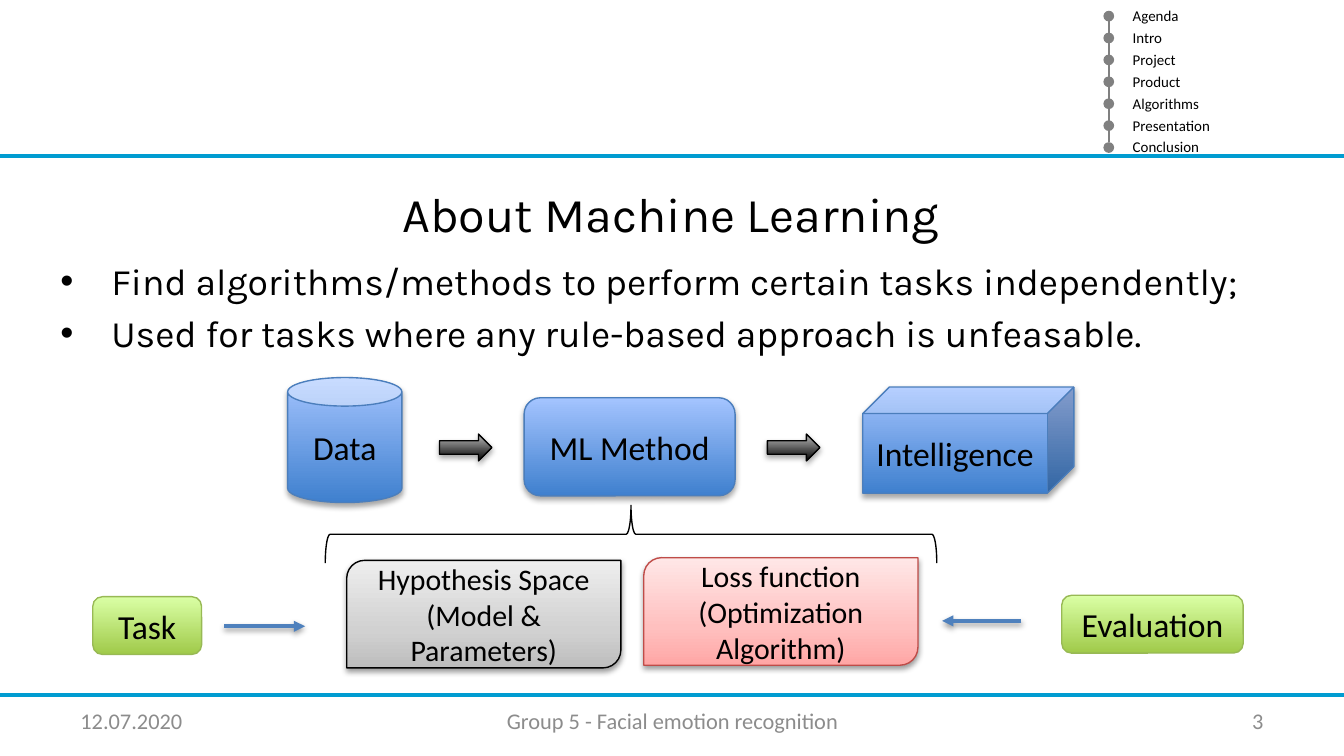
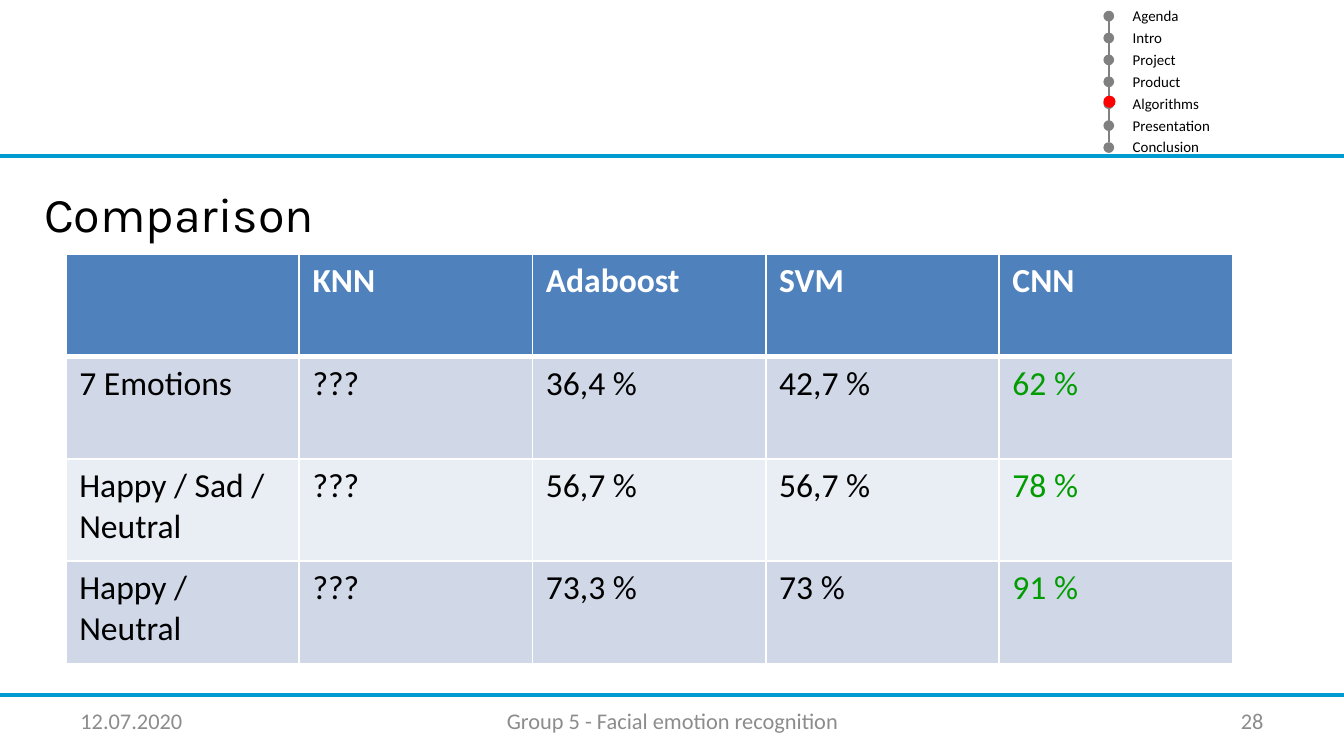
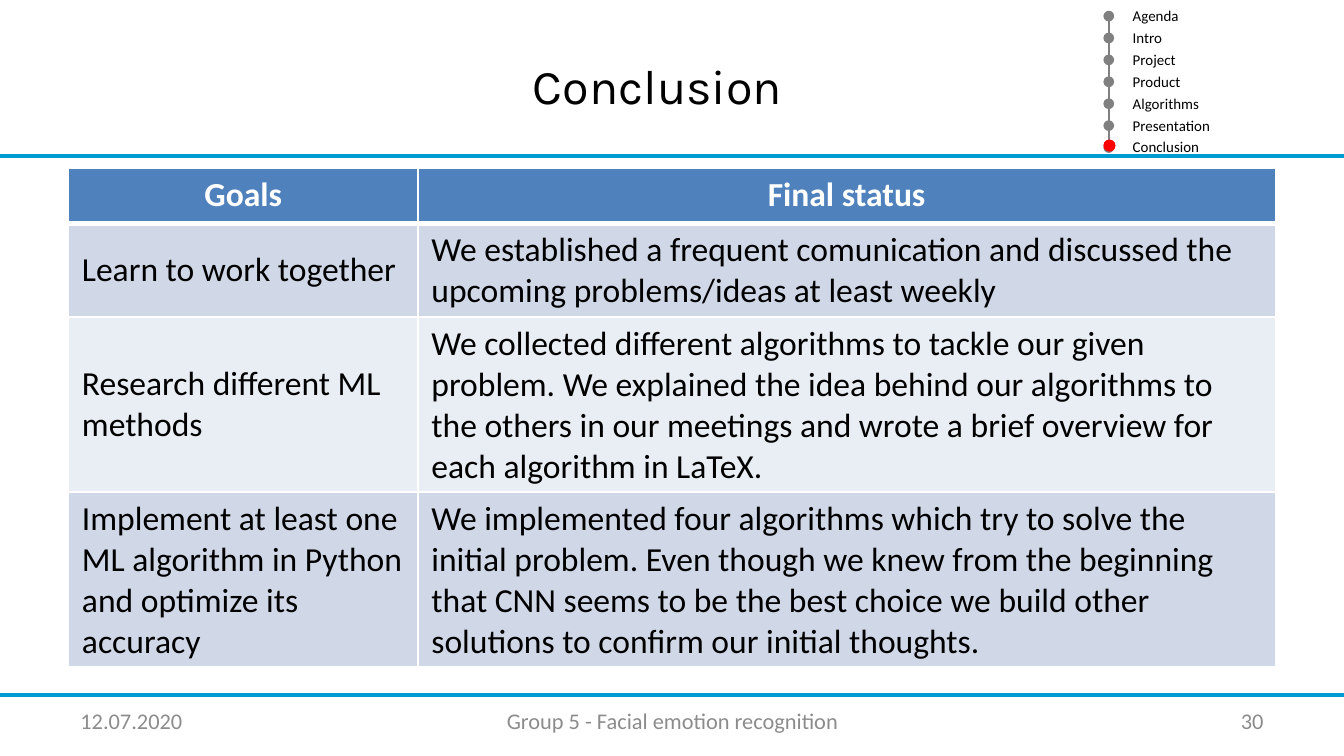
from lxml import etree
from pptx import Presentation
from pptx.dml.color import RGBColor
from pptx.enum.shapes import MSO_CONNECTOR, MSO_SHAPE
from pptx.enum.text import MSO_ANCHOR, MSO_AUTO_SIZE, PP_ALIGN
from pptx.oxml.ns import qn
from pptx.util import Inches, Pt

LEFT, CENTER, RIGHT = PP_ALIGN.LEFT, PP_ALIGN.CENTER, PP_ALIGN.RIGHT
TOP, MIDDLE = MSO_ANCHOR.TOP, MSO_ANCHOR.MIDDLE
ELLIPSE, CAN, CUBE = MSO_SHAPE.OVAL, MSO_SHAPE.CAN, MSO_SHAPE.CUBE
ROUNDED, DIAGONAL = MSO_SHAPE.ROUNDED_RECTANGLE, MSO_SHAPE.ROUND_2_DIAG_RECTANGLE
ARROW, BRACE = MSO_SHAPE.RIGHT_ARROW, MSO_SHAPE.RIGHT_BRACE
STRAIGHT = MSO_CONNECTOR.STRAIGHT
GROW = MSO_AUTO_SIZE.SHAPE_TO_FIT_TEXT

COLORS = {
    "black": "000000", "white": "FFFFFF", "gray": "808080", "footer": "8C8C8C",
    "rule": "009CD1", "active": "FF0000", "accent": "4F81BD", "best": "009C00",
    "odd_row": "D0D8E8", "even_row": "E9EDF4",
    "blue_edge": "4B7EBC", "green_edge": "98B955", "red_edge": "BF4C48",
}
GRADIENTS = {
    "blue": {0: "3F80CE", 100: "A4C4FF"},
    "dark": {0: "000000", 100: "BDBDBD"},
    "green": {0: "A0CA4A", 100: "DAFFA5"},
    "gray": {0: "BDBDBD", 35: "D1D1D1", 100: "EEEEEE"},
    "red": {0: "FFA6A5", 35: "FFC0BF", 100: "FFE7E7"},
}
COLUMNS, ROWS = 100, 56.25
MENU = ["Agenda", "Intro", "Project", "Product", "Algorithms", "Presentation", "Conclusion"]
MENU_STEP = 1.63


def grid(*units):
    """Turn grid units, a hundredth of the slide's width each, into lengths."""
    return [Inches(unit / 10) for unit in units]


def rgb(name):
    """Look up a named colour."""
    return RGBColor.from_string(COLORS[name])


def add_color(parent, value):
    """Append a hex colour element to an XML parent and return it."""
    return etree.SubElement(parent, qn("a:srgbClr"), val=value)


def write(frame, text, size=18, color="black", font="Calibri", align=LEFT,
          anchor=TOP, bold=False, space_before=0, bullet=None):
    """Fill a text frame with one paragraph for each line of text."""
    frame.word_wrap = True
    frame.vertical_anchor = anchor
    for index, line in enumerate(text.split("\n")):
        paragraph = frame.add_paragraph() if index else frame.paragraphs[0]
        paragraph.alignment = align
        paragraph.space_before = Pt(size * space_before)
        run = paragraph.add_run()
        run.text = line
        run.font.size, run.font.name, run.font.bold = Pt(size), font, bold
        run.font.color.rgb = rgb(color)
        if bullet:
            properties = paragraph._p.get_or_add_pPr()
            indent = Inches(0.38)
            properties.set("marL", str(indent))
            properties.set("indent", str(-indent))
            etree.SubElement(properties, qn("a:buFont"), typeface="Arial")
            etree.SubElement(properties, qn("a:buChar"), char=bullet)


def add_shadow(effects, opacity, distance):
    """Put a soft downward shadow into an effect list."""
    shadow = etree.SubElement(
        effects, qn("a:outerShdw"), blurRad=str(Pt(3.1)), dist=str(Pt(distance)),
        dir="5400000", rotWithShape="0")
    black = add_color(shadow, COLORS["black"])
    etree.SubElement(black, qn("a:alpha"), val=str(opacity * 1000))


class Deck:
    """Holds the shared style and the slide being built."""

    def __init__(self):
        """Start an empty presentation."""
        self.presentation = Presentation()
        self.presentation.slide_width, self.presentation.slide_height = grid(COLUMNS, ROWS)
        self.slide = None

    def add_slide(self, number, active=None):
        """Add a slide with its rules, section menu and footer."""
        self.slide = self.presentation.slides.add_slide(self.presentation.slide_layouts[6])
        self.line(82.5, 1.6, 82.5, 10.6, "gray", 1)
        for index, section in enumerate(MENU):
            offset = index * MENU_STEP
            self.shape(ELLIPSE, 82.1, 0.8 + offset, 0.8, 0.8, fill="gray")
            label = self.text(section, 83.3, offset, 13, 2.4, size=8)
            label.text_frame.auto_size = GROW
            if section == active:
                self.shape(ELLIPSE, 82.1, 0.6 + offset, 0.9, 0.9, fill="active")
        for row in (11.6, 51.7):
            self.line(0, row, COLUMNS, row, "rule", 2)
        for text, left, width, align in (
                ("12.07.2020", 5, 23.3, LEFT),
                ("Group 5 - Facial emotion recognition", 34.2, 31.7, CENTER),
                (str(number), 71.7, 23.3, RIGHT)):
            self.text(text, left, 52.1, width, 3, size=12, color="footer",
                      align=align, anchor=MIDDLE)

    def text(self, text, left, top, width, height, **style):
        """Add a text box."""
        box = self.slide.shapes.add_textbox(*grid(left, top, width, height))
        write(box.text_frame, text, **style)
        return box

    def title(self, text, left, top=13.2, align=CENTER):
        """Add a slide title."""
        self.text(text, left, top, 93.3, 5.5, size=26, font="Karla",
                  align=align, space_before=0.2)

    def shape(self, kind, left, top, width, height, fill=None, gradient=None,
              edge=None, shadow=None, text=None, size=18):
        """Add a preset shape with a plain, gradient or empty fill."""
        shape = self.slide.shapes.add_shape(kind, *grid(left, top, width, height))
        if gradient:
            shape.fill.gradient()
            shape.fill.gradient_angle = 90
            stops = shape.element.spPr.find(".//" + qn("a:gsLst"))
            for stop in list(stops):
                stops.remove(stop)
            for position, value in GRADIENTS[gradient].items():
                stop = etree.SubElement(stops, qn("a:gs"), pos=str(position * 1000))
                add_color(stop, value)
        elif fill:
            shape.fill.solid()
            shape.fill.fore_color.rgb = rgb(fill)
        else:
            shape.fill.background()
        if edge:
            shape.line.color.rgb = rgb(edge)
            shape.line.width = Pt(0.75)
        else:
            shape.line.fill.background()
        shape.shadow.inherit = False
        if shadow:
            add_shadow(shape.element.spPr.find(qn("a:effectLst")), *shadow)
        if text:
            write(shape.text_frame, text, size=size, align=CENTER, anchor=MIDDLE)
        return shape

    def line(self, left, top, right, bottom, color, width, shadow=None, arrow=False):
        """Add a straight line, with an arrowhead at its end if asked."""
        connector = self.slide.shapes.add_connector(STRAIGHT, *grid(left, top, right, bottom))
        connector.line.color.rgb = rgb(color)
        connector.line.width = Pt(width)
        properties = connector.element.spPr
        if arrow:
            etree.SubElement(properties.find(qn("a:ln")), qn("a:tailEnd"), type="triangle")
        effects = etree.SubElement(properties, qn("a:effectLst"))
        if shadow:
            add_shadow(effects, *shadow)

    def table(self, rows, left, top, widths, heights, style):
        """Add a banded table; style(row, column) gives extra text format."""
        frame = self.slide.shapes.add_table(
            len(rows), len(widths), *grid(left, top, sum(widths), sum(heights)))
        table = frame.table
        table.horz_banding = False
        for column, width in zip(table.columns, grid(*widths)):
            column.width = width
        for row, height in zip(table.rows, grid(*heights)):
            row.height = height
        for row, values in enumerate(rows):
            header = row == 0
            fill = "accent" if header else "odd_row" if row % 2 else "even_row"
            for column, value in enumerate(values):
                cell = table.cell(row, column)
                cell.fill.solid()
                cell.fill.fore_color.rgb = rgb(fill)
                self.borders(cell, top=3 if row == 1 else 1, bottom=3 if header else 1)
                base = {"color": "white" if header else "black", "bold": header}
                if value:
                    write(cell.text_frame, value, **(base | style(row, column)))
                if style(row, column).get("anchor"):
                    cell.vertical_anchor = style(row, column)["anchor"]

    def borders(self, cell, top, bottom):
        """Draw white borders round a table cell."""
        properties = cell._tc.get_or_add_tcPr()
        widths = {"a:lnL": 1, "a:lnR": 1, "a:lnT": top, "a:lnB": bottom}
        for index, (tag, width) in enumerate(widths.items()):
            border = etree.Element(qn(tag), w=str(Pt(width)))
            add_color(etree.SubElement(border, qn("a:solidFill")), COLORS["white"])
            properties.insert(index, border)

    def save(self):
        """Write the presentation."""
        self.presentation.save("out.pptx")


def build_machine_learning(deck):
    """Build the slide on machine learning."""
    deck.add_slide(3)
    deck.title("About Machine Learning", 3.3)
    deck.text("Find algorithms/methods to perform certain tasks independently;\n"
              "Used for tasks where any rule-based approach is unfeasable.",
              3.5, 18.7, 91.8, 8.7, size=20, font="Karla", space_before=0.2, bullet="•")
    strong, light = (35, 1.8), (38, 1.6)
    for kind, text, left, top, width, height in (
            (CAN, "Data", 21.4, 28.1, 8.5, 9.3),
            (ROUNDED, "ML Method", 39, 29.6, 15.7, 7.3),
            (CUBE, "Intelligence", 64.2, 28.8, 15.7, 7.9)):
        deck.shape(kind, left, top, width, height, gradient="blue",
                   edge="blue_edge", shadow=strong, text=text)
    for left in (32.7, 57.1):
        deck.shape(ARROW, left, 32.3, 3.9, 2, gradient="dark", edge="black", shadow=strong)
    for text, left, top, width in (("Task", 6.9, 44.4, 8.1), ("Evaluation", 79, 44.3, 13.5)):
        deck.shape(ROUNDED, left, top, width, 4.3, gradient="green",
                   edge="green_edge", text=text)
    for text, left, top, gradient, edge in (
            ("Hypothesis Space\n(Model & Parameters)", 25.8, 41.7, "gray", "black"),
            ("Loss function\n(Optimization Algorithm)", 47.9, 41.5, "red", "red_edge")):
        deck.shape(DIAGONAL, left, top, 20.4, 8, gradient=gradient, edge=edge,
                   shadow=light, text=text, size=16)
    brace = deck.shape(BRACE, 44.8, 17, 4.3, 45.5, edge="black")
    brace.rotation = 270
    for start, end, row in ((16.7, 22.7, 46.6), (76, 70.1, 46.2)):
        deck.line(start, row, end, row, "accent", 2, shadow=light, arrow=True)


def build_comparison(deck):
    """Build the slide that compares the algorithms."""
    deck.add_slide(28, "Algorithms")
    deck.title("Comparison", 2.3, align=LEFT)
    rows = [
        ["", "KNN", "Adaboost", "SVM", "CNN"],
        ["7 Emotions", "???", "36,4 %", "42,7 %", "62 %"],
        ["Happy / Sad / Neutral", "???", "56,7 %", "56,7 %", "78 %"],
        ["Happy / Neutral", "???", "73,3 %", "73 %", "91 %"],
    ]
    deck.table(rows, 4.9, 18.9, [17.36] * 5, [7.62] * 4,
               lambda row, column: {"color": "best"} if row and column == 4 else {})


def build_conclusion(deck):
    """Build the slide with goals and their final status."""
    deck.add_slide(30, "Conclusion")
    deck.title("Conclusion", 2.3, top=3.7)
    rows = [
        ["Goals", "Final status"],
        ["Learn to work together",
         "We established a frequent comunication and discussed the upcoming "
         "problems/ideas at least weekly"],
        ["Research different ML methods",
         "We collected different algorithms to tackle our given problem. We explained "
         "the idea behind our algorithms to the others in our meetings and wrote a brief "
         "overview for each algorithm in LaTeX."],
        ["Implement at least one ML algorithm in Python and optimize its accuracy",
         "We implemented four algorithms which try to solve the initial problem. Even "
         "though we knew from the beginning that CNN seems to be the best choice we build "
         "other solutions to confirm our initial thoughts."],
    ]

    def style(row, column):
        """Centre the header and the goals."""
        if row == 0:
            return {"align": CENTER}
        return {} if column else {"anchor": MIDDLE}

    deck.table(rows, 5.1, 12.5, [26, 63.8], [4.1, 7, 13, 13], style)


def main():
    """Build and save all slides."""
    deck = Deck()
    build_machine_learning(deck)
    build_comparison(deck)
    build_conclusion(deck)
    deck.save()


if __name__ == "__main__":
    main()
